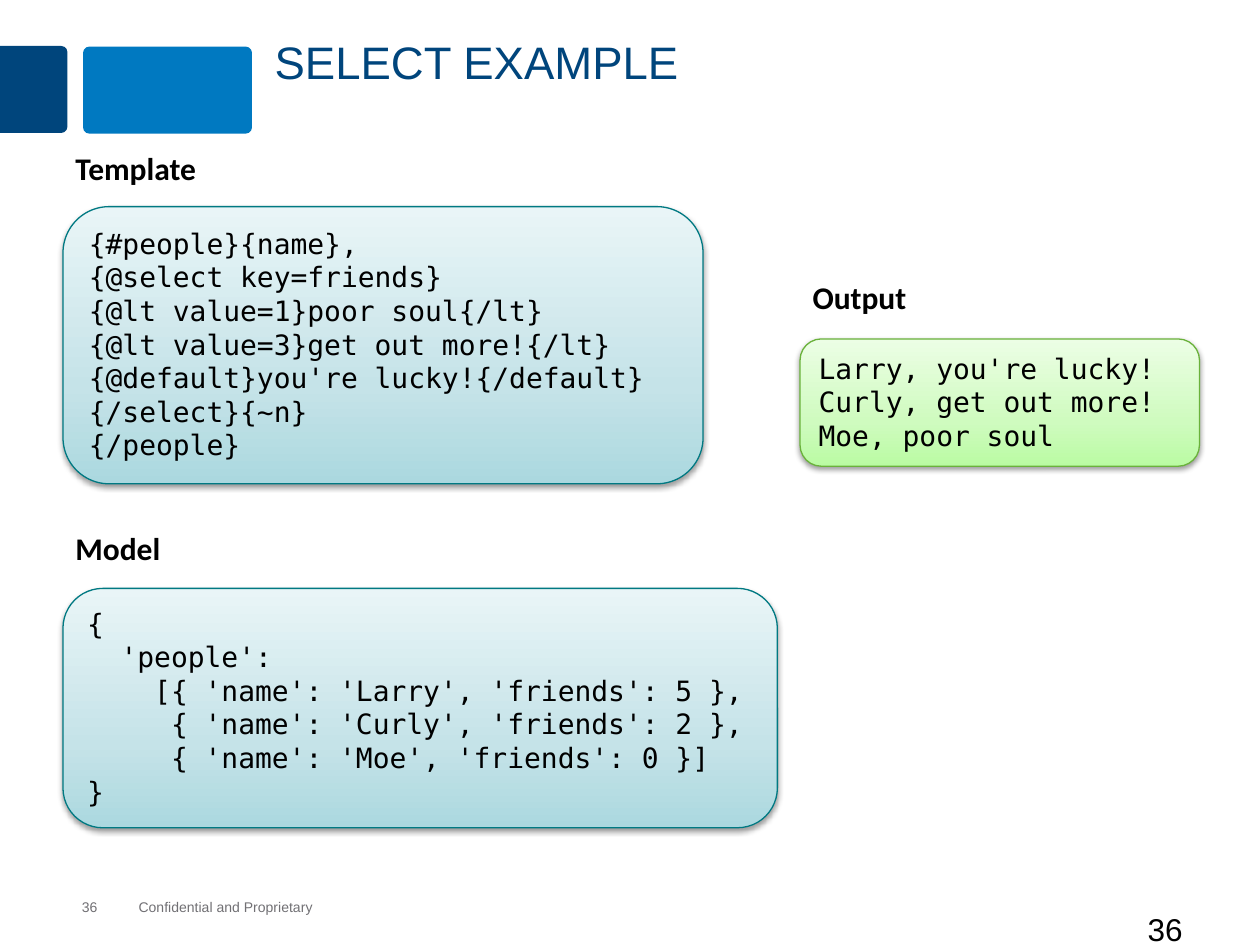
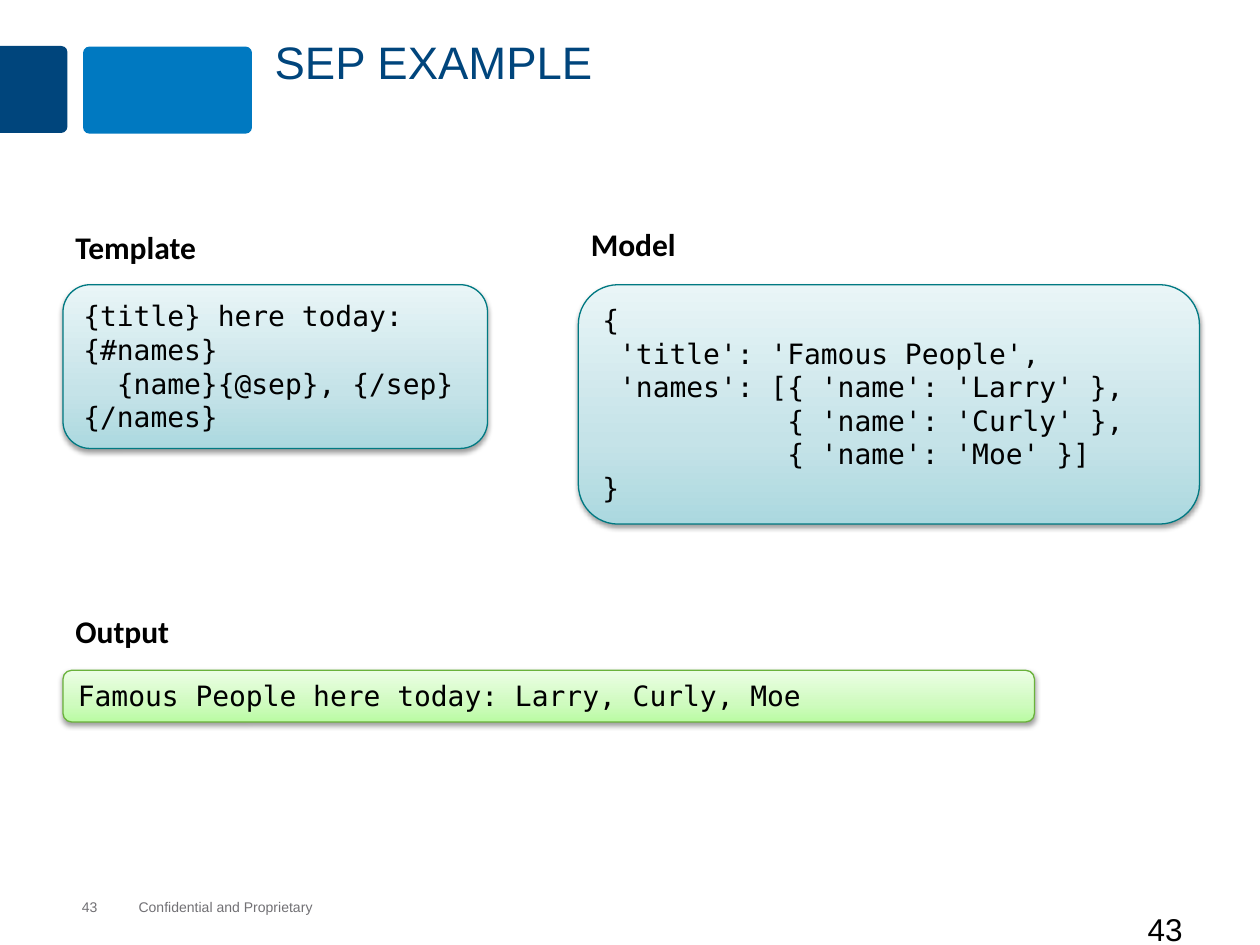
from lxml import etree
from pptx import Presentation, util as u
from pptx.dml.color import RGBColor
from pptx.enum import shapes, text
from pptx.oxml.ns import qn

NAVY, BLUE, GREY, BLACK = "00457C", "0079C1", "717074", "000000"
# Each panel style: line colour, then gradient stops from the bottom up
TEAL = ("007982", [(0, "ABD8DF"), (35, "C5E3E8"), (100, "E9F5F7")])
GREEN = ("6AB23B", [(0, "BAFBA3"), (35, "CFFBBF"), (100, "ECFEE5")])
LABEL_HEIGHT = 0.5


def colour(value):
    """Turn a hex string into a colour."""
    return RGBColor.from_string(value)


def inches(box):
    """Turn left, top, width, height into lengths."""
    return [u.Inches(side) for side in box]


def write(shape, paragraphs, size=16, font="Arial", ink=BLACK, bold=False,
          anchor=text.MSO_ANCHOR.TOP, inset=None, wrap=True, spacing=None):
    """Fill a shape with left-aligned paragraphs; a newline breaks a line."""
    frame = shape.text_frame
    frame.word_wrap = wrap
    frame.auto_size = text.MSO_AUTO_SIZE.NONE
    frame.vertical_anchor = anchor
    if inset is not None:
        frame.margin_left = frame.margin_right = u.Inches(inset)
        frame.margin_top = frame.margin_bottom = u.Inches(inset)
    for index, line in enumerate(paragraphs):
        para = frame.add_paragraph() if index else frame.paragraphs[0]
        para.text = line
        para.alignment = text.PP_ALIGN.LEFT
        if spacing:
            para.line_spacing = spacing
        for span in para.runs:
            span.font.size = u.Pt(size)
            span.font.name = font
            span.font.bold = bold
            span.font.color.rgb = colour(ink)


def add_text(page, box, words, **style):
    """Add a text box with one paragraph."""
    write(page.shapes.add_textbox(*inches(box)), [words], **style)


def add_band(page, kind, box, fill, corners, rotation=0):
    """Add one plain rounded block of the header."""
    band = page.shapes.add_shape(kind, *inches(box))
    band.shadow.inherit = False
    band.fill.solid()
    band.fill.fore_color.rgb = colour(fill)
    band.line.fill.background()
    band.rotation = rotation
    for index, corner in enumerate(corners):
        band.adjustments[index] = corner


def add_page(deck, title, number):
    """Add a slide with its header blocks, title, footer and page number."""
    page = deck.slides.add_slide(deck.slide_layouts[5])
    kinds = shapes.MSO_SHAPE
    add_band(page, kinds.ROUND_2_SAME_RECTANGLE, (-0.08, 0.44, 0.69, 0.54),
             NAVY, (0.09, 0), rotation=90)
    add_band(page, kinds.ROUNDED_RECTANGLE, (0.66, 0.37, 1.34, 0.69),
             BLUE, (0.07,))
    heading = page.shapes.title
    heading.left, heading.top, heading.width, heading.height = inches(
        (2.08, 0.25, 7.67, 0.91))
    write(heading, [title], size=26, ink=NAVY, spacing=0.95)
    footer = dict(size=8, ink=GREY, anchor=text.MSO_ANCHOR.MIDDLE, inset=0)
    add_text(page, (1.1, 7.13, 1.4, 0.13), "Confidential and Proprietary",
             wrap=False, **footer)
    add_text(page, (0.65, 7.13, 0.63, 0.13), number, **footer)
    add_text(page, (9.01, 7.17, 0.99, 0.5), number, size=18)
    return page


def add_stop_colour(parent, value):
    """Add a colour element to an XML parent and return it."""
    return etree.SubElement(parent, qn("a:srgbClr"), val=value)


def paint_panel(panel, style):
    """Give a panel its upward gradient, outline and soft shadow."""
    line, stops = style
    panel.fill.gradient()
    panel.fill.gradient_angle = 90
    stop_list = panel.element.spPr.find(".//" + qn("a:gsLst"))
    for stop in list(stop_list):
        stop_list.remove(stop)
    for position, value in stops:
        stop = etree.SubElement(stop_list, qn("a:gs"), pos=str(position * 1000))
        add_stop_colour(stop, value)
    panel.line.color.rgb = colour(line)
    panel.line.width = u.Pt(0.75)
    panel.shadow.inherit = False
    effects = panel.element.spPr.find(qn("a:effectLst"))
    shadow = etree.SubElement(
        effects, qn("a:outerShdw"), blurRad=str(u.Pt(3.1)), dist=str(u.Pt(1.6)),
        dir="5400000", rotWithShape="0")
    etree.SubElement(add_stop_colour(shadow, BLACK), qn("a:alpha"), val="38000")


def add_code(page, label, box, paragraphs, style=TEAL, gap=0.0):
    """Add a code panel in the box, with its label the given gap above."""
    left, top, _, _ = box
    panel = page.shapes.add_shape(shapes.MSO_SHAPE.ROUNDED_RECTANGLE,
                                  *inches(box))
    paint_panel(panel, style)
    write(panel, paragraphs, font="DejaVu Sans Mono")
    add_text(page, (left, top - gap - LABEL_HEIGHT, 1.65, LABEL_HEIGHT), label,
             size=18, font="Calibri", bold=True)


def build_select(deck):
    """Build the slide on the select helper."""
    page = add_page(deck, "SELECT EXAMPLE", "36")
    add_code(page, "Template", (0.5, 1.64, 5.08, 2.2), [
        "{#people}{name},\n{@select key=friends}\n"
        "{@lt value=1}poor soul{/lt}",
        "{@lt value=3}get out more!{/lt}",
        "{@default}you're lucky!{/default}",
        "{/select}{~n}",
        "{/people}"], gap=0.01)
    add_code(page, "Model", (0.5, 4.67, 5.67, 1.9), [
        "{\n  'people':",
        "    [{ 'name': 'Larry', 'friends': 5 },",
        "     { 'name': 'Curly', 'friends': 2 },\n"
        "     { 'name': 'Moe', 'friends': 0 }]\n}"], gap=0.02)
    add_code(page, "Output", (6.35, 2.69, 3.17, 1.01), [
        "Larry, you're lucky!",
        "Curly, get out more!",
        "Moe, poor soul"], style=GREEN, gap=0.03)


def build_sep(deck):
    """Build the slide on the sep helper."""
    page = add_page(deck, "SEP EXAMPLE", "43")
    add_code(page, "Template", (0.5, 2.26, 3.37, 1.3), [
        "{title} here today:\n{#names}\n  {name}{@sep}, {/sep}\n{/names}"])
    add_code(page, "Model", (4.59, 2.26, 4.93, 1.9), [
        "{\n 'title': 'Famous People',\n"
        " 'names': [{ 'name': 'Larry' },\n"
        "           { 'name': 'Curly' },\n"
        "           { 'name': 'Moe' }]\n}"], gap=0.02)
    add_code(page, "Output", (0.5, 5.32, 7.71, 0.41), [
        "Famous People here today: Larry, Curly, Moe"], style=GREEN, gap=0.01)


deck = Presentation()
deck.slide_width, deck.slide_height = u.Inches(10), u.Inches(7.5)
build_select(deck)
build_sep(deck)
deck.save("out.pptx")
